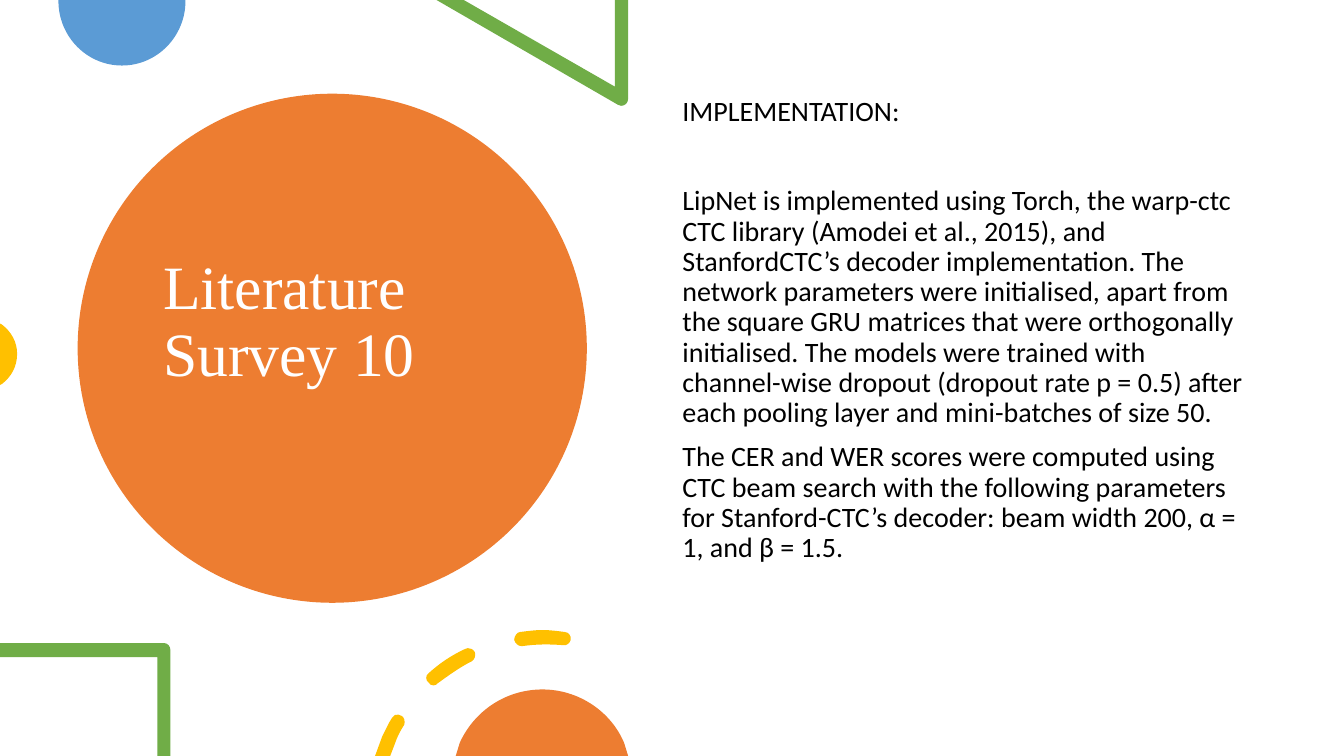
from lxml.etree import SubElement
from pptx import Presentation
from pptx.dml.color import RGBColor
from pptx.enum.shapes import MSO_SHAPE as Shape
from pptx.enum.text import MSO_ANCHOR as Anchor
from pptx.oxml.ns import qn
from pptx.util import Inches, Pt

COLORS = {
    "orange": "ED7D31",
    "blue": "5B9BD5",
    "green": "70AD47",
    "yellow": "FFC000",
    "white": "FFFFFF",
    "black": "000000",
}

BLUE_DISC = [[(1.84, 0), (0.58, 0), (0.58, 0.01),
              (0.58, 0.36, 0.86, 0.65, 1.21, 0.65),
              (1.56, 0.65, 1.84, 0.36, 1.84, 0.01)]]
GREEN_TRIANGLE = [[(6.23, 0), (6.1, 0), (6.1, 0.86), (4.6, 0), (4.33, 0), (6.13, 1.04),
                   (6.14, 1.05, 6.15, 1.05, 6.16, 1.05),
                   (6.2, 1.05, 6.23, 1.02, 6.23, 0.98)]]
YELLOW_DISC = [[(0, 3.21), (0, 3.82), (0.02, 3.81),
                (0.11, 3.74, 0.17, 3.64, 0.17, 3.51),
                (0.17, 3.39, 0.11, 3.29, 0.02, 3.22)]]
GREEN_FRAME = [[(1.63, 6.38), (0, 6.38), (0, 6.52), (1.56, 6.52), (1.56, 7.5),
                (1.69, 7.5), (1.69, 6.45),
                (1.69, 6.41, 1.66, 6.38, 1.63, 6.38)]]
YELLOW_DASHES = [
    [(3.95, 7.09), (3.93, 7.08, 3.9, 7.1, 3.89, 7.12),
     (3.85, 7.18, 3.82, 7.25, 3.79, 7.31), (3.72, 7.5), (3.87, 7.5), (3.92, 7.37),
     (3.94, 7.31, 3.97, 7.25, 4.01, 7.19), (4.02, 7.16, 4.01, 7.11, 3.98, 7.1),
     (3.97, 7.09, 3.96, 7.09, 3.95, 7.09)],
    [(4.64, 6.43), (4.63, 6.43, 4.62, 6.43, 4.61, 6.44),
     (4.48, 6.5, 4.36, 6.58, 4.25, 6.68), (4.22, 6.7, 4.22, 6.75, 4.25, 6.77),
     (4.26, 6.79, 4.28, 6.8, 4.3, 6.8), (4.3, 6.8),
     (4.32, 6.8, 4.33, 6.79, 4.34, 6.78),
     (4.45, 6.7, 4.56, 6.62, 4.68, 6.56), (4.71, 6.54, 4.72, 6.5, 4.71, 6.47),
     (4.69, 6.44, 4.67, 6.43, 4.64, 6.43)],
    [(5.38, 6.25), (5.31, 6.25, 5.24, 6.26, 5.16, 6.27),
     (5.13, 6.27, 5.1, 6.31, 5.1, 6.35), (5.11, 6.38, 5.14, 6.41, 5.17, 6.41),
     (5.18, 6.41, 5.18, 6.41, 5.18, 6.41), (5.32, 6.39, 5.45, 6.39, 5.58, 6.4),
     (5.62, 6.41, 5.65, 6.38, 5.66, 6.35), (5.67, 6.31, 5.64, 6.27, 5.6, 6.27),
     (5.6, 6.27, 5.6, 6.27, 5.6, 6.27), (5.53, 6.26, 5.45, 6.25, 5.38, 6.25)],
]
ORANGE_DISC = [[(5.38, 6.84), (5.01, 6.84, 4.7, 7.06, 4.56, 7.37), (4.52, 7.5),
                (6.23, 7.5), (6.19, 7.37), (6.06, 7.06, 5.74, 6.84, 5.38, 6.84)]]

BODY = [
    ("IMPLEMENTATION:", 0),
    ("LipNet is implemented using Torch, the warp-ctc CTC library (Amodei et al., 2015), "
     "and StanfordCTC’s decoder implementation. The network parameters were initialised, "
     "apart from the square GRU matrices that were orthogonally initialised. The models "
     "were trained with channel-wise dropout (dropout rate p = 0.5) after each pooling "
     "layer and mini-batches of size 50.", 42),
    ("The CER and WER scores were computed using CTC beam search with the following "
     "parameters for Stanford-CTC’s decoder: beam width 200, α = 1, and β = 1.5.", 10),
]


class SlideBuilder:
    def __init__(self, slide):
        self.slide = slide

    def color(self, name):
        return RGBColor.from_string(COLORS[name])

    def paint(self, shape, color):
        shape.shadow.inherit = False
        shape.fill.solid()
        shape.fill.fore_color.rgb = self.color(color)
        shape.line.fill.background()

    def circle(self, left, top, diameter, color):
        size = Inches(diameter)
        self.paint(self.slide.shapes.add_shape(
            Shape.OVAL, Inches(left), Inches(top), size, size), color)

    def outline(self, contours, color):
        first, *others = [[tuple(map(Inches, segment[-2:])) for segment in contour]
                          for contour in contours]
        builder = self.slide.shapes.build_freeform(*first[0])
        builder.add_line_segments(first[1:], close=True)
        for points in others:
            builder.move_to(*points[0])
            builder.add_line_segments(points[1:], close=True)
        shape = builder.convert_to_shape()
        self.bend(shape, [segment for contour in contours for segment in contour])
        self.paint(shape, color)

    def bend(self, shape, segments):
        geometry = shape._element.find(".//" + qn("a:path"))
        steps = [step for step in geometry if step.tag != qn("a:close")]
        for step, segment in zip(steps, segments):
            if len(segment) == 2:
                continue
            curve = SubElement(geometry, qn("a:cubicBezTo"))
            for x, y in zip(segment[::2], segment[1::2]):
                SubElement(curve, qn("a:pt"), x=str(Inches(x) - shape.left),
                           y=str(Inches(y) - shape.top))
            geometry.replace(step, curve)

    def text(self, box, paragraphs, font, size, color, anchor=Anchor.TOP, bottom=0.05):
        frame = self.slide.shapes.add_textbox(*map(Inches, box)).text_frame
        frame.word_wrap = True
        frame.vertical_anchor = anchor
        frame.margin_bottom = Inches(bottom)
        frame.text = "\n".join(text for text, _ in paragraphs)
        for paragraph, (_, space_before) in zip(frame.paragraphs, paragraphs):
            paragraph.line_spacing = 0.9
            paragraph.space_before = Pt(space_before)
            for run in paragraph.runs:
                run.font.name = font
                run.font.size = Pt(size)
                run.font.color.rgb = self.color(color)


def main():
    presentation = Presentation()
    presentation.slide_width = Inches(13.33)
    presentation.slide_height = Inches(7.5)
    builder = SlideBuilder(presentation.slides.add_slide(presentation.slide_layouts[6]))

    builder.circle(0.77, 0.93, 5.05, "orange")
    builder.text((1.52, 1.35, 3.54, 4.45), [("Literature Survey 10", 0)],
                 "Times New Roman", 44, "white", Anchor.MIDDLE, bottom=0.79)
    builder.outline(BLUE_DISC, "blue")
    builder.outline(GREEN_TRIANGLE, "green")
    builder.outline(YELLOW_DISC, "yellow")
    builder.text((6.67, 0.92, 5.8, 6.15), BODY, "Calibri", 20, "black")
    builder.outline(GREEN_FRAME, "green")
    builder.outline(YELLOW_DASHES, "yellow")
    builder.outline(ORANGE_DISC, "orange")

    presentation.save("out.pptx")


if __name__ == "__main__":
    main()
